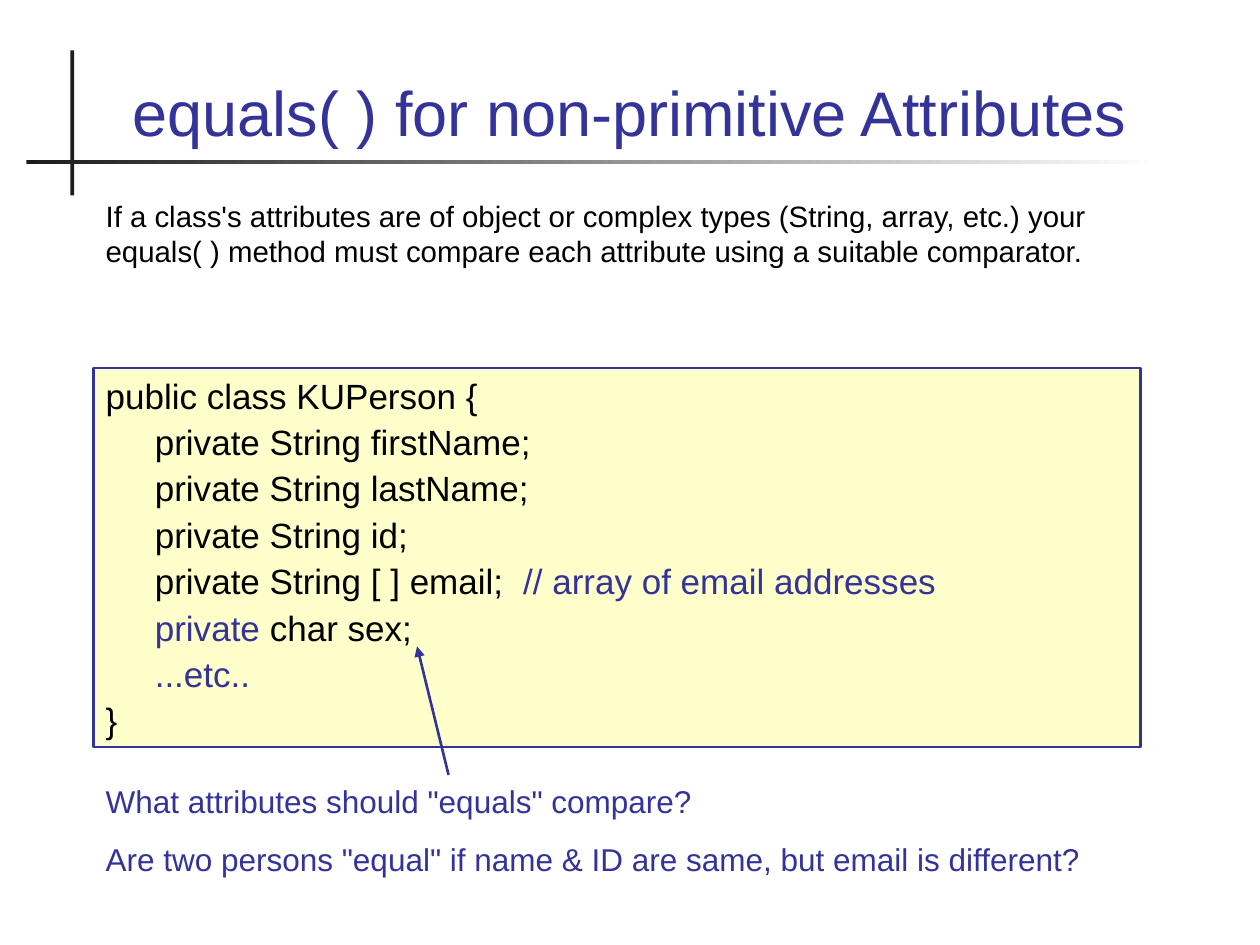
from dataclasses import dataclass
from typing import Optional

from lxml.etree import SubElement
from pptx import Presentation
from pptx.dml.color import RGBColor
from pptx.enum.shapes import MSO_CONNECTOR as CONN, MSO_SHAPE as SHAPE
from pptx.enum.text import MSO_ANCHOR as ANCHOR, PP_ALIGN as ALIGN
from pptx.oxml.ns import qn
from pptx.util import Inches, Pt

COLS, ROWS = 100, 75
WIDTH, HEIGHT = Inches(10), Inches(7.5)
BLUE, BLACK, DARK, CREAM, WHITE = "333399", "000000", "1C1C1C", "FFFFCC", "FFFFFF"
TAB = Inches(0.39)


@dataclass(frozen=True)
class Box:
    col: float
    row: float
    cols: float
    rows: float


@dataclass(frozen=True)
class Block:
    box: Box
    lines: list
    size: float
    gap: float = 0
    align: ALIGN = ALIGN.LEFT
    anchor: ANCHOR = ANCHOR.TOP
    fill: Optional[str] = None


def rgb(value: str) -> RGBColor:
    return RGBColor.from_string(value)


def x(col: float) -> int:
    return round(WIDTH * col / COLS)


def y(row: float) -> int:
    return round(HEIGHT * row / ROWS)


def place(box: Box) -> tuple:
    return x(box.col), y(box.row), x(box.cols), y(box.rows)


def add_bar(s, box: Box, fade_to: Optional[str] = None) -> None:
    sp = s.shapes.add_shape(SHAPE.RECTANGLE, *place(box))
    sp.shadow.inherit = False
    sp.line.fill.background()
    if fade_to is None:
        sp.fill.solid()
        sp.fill.fore_color.rgb = rgb(DARK)
        return
    sp.fill.gradient()
    sp.fill.gradient_angle = 0
    for stop, color in zip(sp.fill.gradient_stops, (DARK, fade_to)):
        stop.color.rgb = rgb(color)


def add_block(s, block: Block) -> None:
    if block.fill:
        sp = s.shapes.add_shape(SHAPE.RECTANGLE, *place(block.box))
        sp.shadow.inherit = False
        sp.fill.solid()
        sp.fill.fore_color.rgb = rgb(block.fill)
        sp.line.color.rgb = rgb(BLUE)
        sp.line.width = Pt(1.5)
    else:
        sp = s.shapes.add_textbox(*place(block.box))
    tf = sp.text_frame
    tf.word_wrap = True
    tf.vertical_anchor = block.anchor
    for i, line in enumerate(block.lines):
        p = tf.add_paragraph() if i else tf.paragraphs[0]
        p.alignment = block.align
        p.space_before = Pt(block.gap if i else 0)
        tabs = SubElement(p._p.get_or_add_pPr(), qn("a:tabLst"))
        SubElement(tabs, qn("a:tab"), pos=str(TAB), algn="l")
        for text, color in line:
            r = p.add_run()
            r.text = text
            r.font.name = "Arial"
            r.font.size = Pt(block.size)
            r.font.color.rgb = rgb(color)


def add_arrow(s, start: tuple, end: tuple) -> None:
    arrow = s.shapes.add_connector(
        CONN.STRAIGHT, x(start[0]), y(start[1]), x(end[0]), y(end[1]))
    arrow.line.color.rgb = rgb(BLUE)
    arrow.line.width = Pt(1.5)
    SubElement(arrow.line._get_or_add_ln(), qn("a:tailEnd"), type="triangle")
    SubElement(arrow._element.spPr, qn("a:effectLst"))


TITLE = Block(
    Box(6.7, 2.8, 86.6, 9.5),
    [[("equals( ) for non-primitive Attributes", BLUE)]],
    36, align=ALIGN.CENTER, anchor=ANCHOR.BOTTOM)

INTRO = Block(
    Box(7.4, 15.2, 86.6, 8.8),
    [[("If a class's attributes are of object or complex types (String, array, etc.) "
       "your equals( ) method must compare each attribute using a suitable comparator.",
       BLACK)]],
    16.8)

CODE = Block(
    Box(7.4, 29.2, 83.1, 30.1),
    [
        [("public class KUPerson {", BLACK)],
        [("\tprivate String firstName;", BLACK)],
        [("\tprivate String lastName;", BLACK)],
        [("\tprivate String id;", BLACK)],
        [("\tprivate String [ ] email;", BLACK), ("  // array of email addresses", BLUE)],
        [("\tprivate ", BLUE), ("char sex;", BLACK)],
        [("\t...etc..", BLUE)],
        [("}", BLACK)],
    ],
    20, gap=2.5, fill=CREAM)

QUESTIONS = Block(
    Box(7.4, 61.6, 80.6, 8.6),
    [
        [('What attributes should "equals" compare?', BLUE)],
        [('Are two persons "equal" if name & ID are same, but email is different?', BLUE)],
    ],
    18, gap=11.2)


def main() -> None:
    prs = Presentation()
    prs.slide_width, prs.slide_height = WIDTH, HEIGHT
    s = prs.slides.add_slide(prs.slide_layouts[6])
    add_bar(s, Box(5.6, 4, 0.3, 11.5))
    add_bar(s, Box(2.1, 12.7, 89.9, 0.3), fade_to=WHITE)
    for block in (TITLE, INTRO, CODE):
        add_block(s, block)
    add_arrow(s, (35.6, 61.5), (33.1, 51.3))
    add_block(s, QUESTIONS)
    prs.save("out.pptx")


if __name__ == "__main__":
    main()
